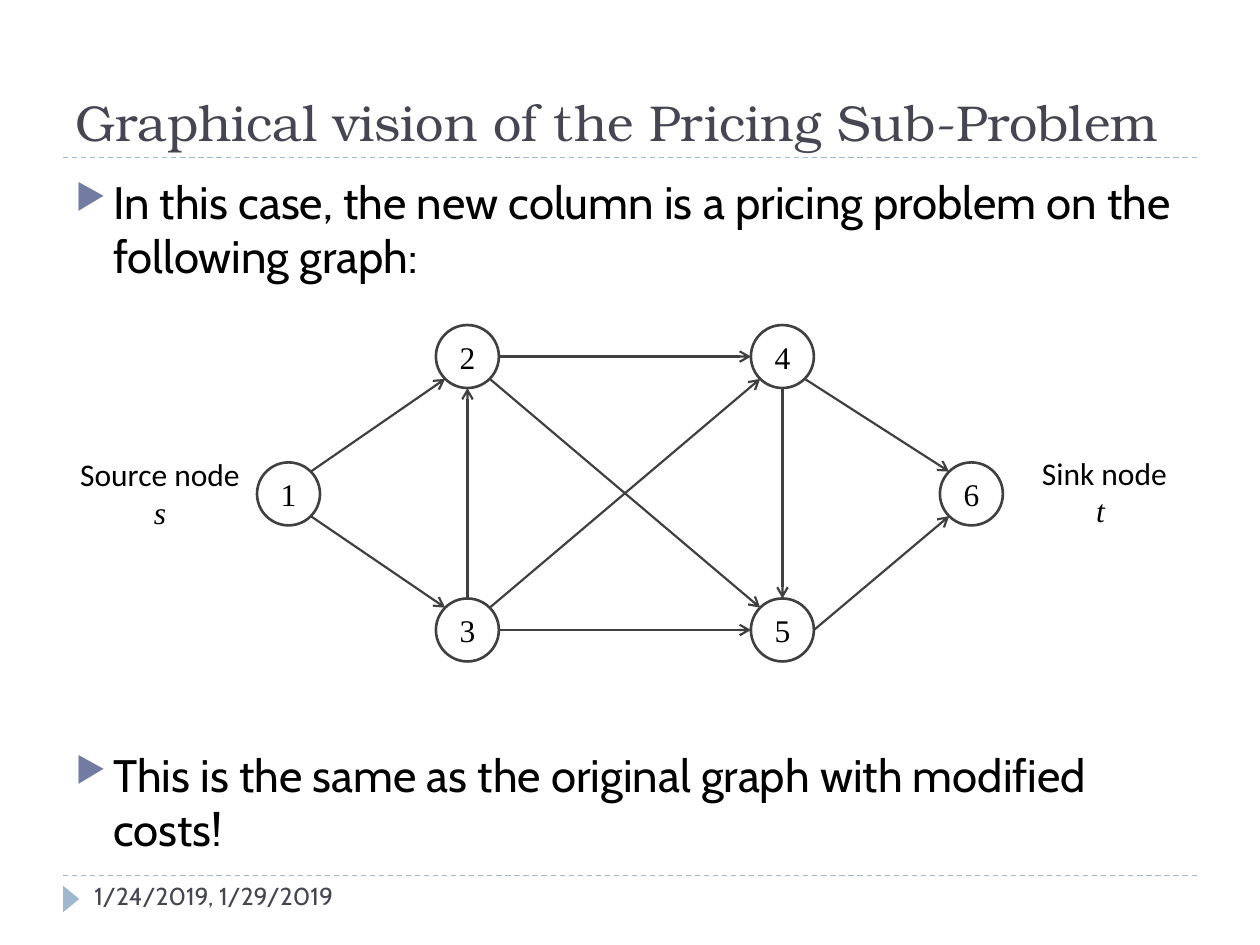
"""Builds a slide showing the pricing sub-problem as a directed graph."""
from math import cos, radians, sin

from lxml import etree
from pptx import Presentation
from pptx.dml.color import RGBColor
from pptx.enum.dml import MSO_LINE
from pptx.enum.shapes import MSO_CONNECTOR, MSO_SHAPE
from pptx.enum.text import MSO_ANCHOR, PP_ALIGN
from pptx.oxml.ns import qn
from pptx.util import Inches, Pt

STRAIGHT = MSO_CONNECTOR.STRAIGHT
OVAL, TRIANGLE = MSO_SHAPE.OVAL, MSO_SHAPE.ISOSCELES_TRIANGLE
TOP, MIDDLE, BOTTOM = MSO_ANCHOR.TOP, MSO_ANCHOR.MIDDLE, MSO_ANCHOR.BOTTOM
LEFT, CENTER = PP_ALIGN.LEFT, PP_ALIGN.CENTER
DASH = MSO_LINE.DASH

WIDTH, HEIGHT, MARGIN = 10, 7.5, 0.5
INK, BLACK, RULE, BULLET, GRAPH = "464653", "000000", "9FB8CD", "727CA3", "404040"
HEADING, BODY, LABEL, SYMBOL = "TeX Gyre Bonum", "Cabin", "Calibri", "Times New Roman"

TITLE = "Graphical vision of the Pricing Sub-Problem"
DATES = "1/24/2019, 1/29/2019"
POINTS = [
    "In this case, the new column is a pricing problem on the following graph:",
    "This is the same as the original graph with modified costs!",
]
GRAPH_GAP = 265
RULES = [1.25, 6.95]

COLUMNS = [2.29, 3.71, 6.21, 7.71]
ROWS = [2.83, 3.92, 5]
RADIUS = 0.25
NODES = {"1": (0, 1), "2": (1, 0), "3": (1, 2), "4": (2, 0), "5": (2, 2), "6": (3, 1)}
ANGLES = {"E": 0, "NE": 45, "N": 90, "NW": 135, "W": 180, "SW": 225, "S": 270, "SE": 315}
EDGES = [
    ("1", "NE", "2", "SW"), ("2", "E", "4", "W"), ("1", "SE", "3", "NW"),
    ("3", "E", "5", "W"), ("4", "SE", "6", "NW"), ("5", "E", "6", "SW"),
    ("3", "N", "2", "S"), ("3", "NE", "4", "SW"), ("2", "SE", "5", "NW"),
    ("4", "S", "5", "N"),
]
END_LABELS = [
    ((0.52, 3.56, 1.5, 0.71), [[("Source node ", LABEL), ("s", SYMBOL)]]),
    ((8.12, 3.55, 1.29, 0.71), [[("Sink node", LABEL)], [("t ", SYMBOL)]]),
]


def color(value):
    return RGBColor.from_string(value)


def add_run(paragraph, text, font, size, hex_color, italic=False):
    run = paragraph.add_run()
    run.text = text
    run.font.name, run.font.size, run.font.italic = font, Pt(size), italic
    run.font.color.rgb = color(hex_color)


def add_text(slide, box, paragraphs, size, hex_color, anchor=TOP, align=LEFT):
    shape = slide.shapes.add_textbox(*map(Inches, box))
    frame = shape.text_frame
    frame.word_wrap, frame.vertical_anchor = True, anchor
    for index, runs in enumerate(paragraphs):
        paragraph = frame.add_paragraph() if index else frame.paragraphs[0]
        paragraph.alignment = align
        for text, font in runs:
            add_run(paragraph, text, font, size, hex_color, font == SYMBOL)
    return frame


def add_bullet(paragraph):
    properties = paragraph._p.get_or_add_pPr()
    properties.set("marL", str(Inches(0.3)))
    properties.set("indent", str(Inches(-0.3)))
    bullet_color = etree.SubElement(properties, qn("a:buClr"))
    etree.SubElement(bullet_color, qn("a:srgbClr"), val=BULLET)
    etree.SubElement(properties, qn("a:buSzPct"), val="76000")
    etree.SubElement(properties, qn("a:buChar"), char="▶")


def add_line(slide, start, end, hex_color, width):
    connector = slide.shapes.add_connector(STRAIGHT, *map(Inches, (*start, *end)))
    connector.line.color.rgb, connector.line.width = color(hex_color), Pt(width)
    etree.SubElement(connector._element.spPr, qn("a:effectLst"))
    return connector


def add_node(slide, name):
    x, y = center(name)
    box = (x - RADIUS, y - RADIUS, 2 * RADIUS, 2 * RADIUS)
    node = slide.shapes.add_shape(OVAL, *map(Inches, box))
    node.shadow.inherit = False
    node.fill.background()
    node.line.color.rgb, node.line.width = color(GRAPH), Pt(1.5)
    node.text_frame.vertical_anchor = MIDDLE
    paragraph = node.text_frame.paragraphs[0]
    paragraph.alignment = CENTER
    add_run(paragraph, name, SYMBOL, 18, BLACK)


def center(name):
    column, row = NODES[name]
    return COLUMNS[column], ROWS[row]


def rim(name, side):
    x, y = center(name)
    angle = radians(ANGLES[side])
    return x + RADIUS * cos(angle), y - RADIUS * sin(angle)


def main():
    presentation = Presentation()
    presentation.slide_width, presentation.slide_height = Inches(WIDTH), Inches(HEIGHT)
    slide = presentation.slides.add_slide(presentation.slide_layouts[6])
    content_width = WIDTH - 2 * MARGIN

    for y in RULES:
        rule = add_line(slide, (MARGIN, y), (WIDTH - MARGIN, y), RULE, 0.75)
        rule.line.dash_style = DASH
    marker = slide.shapes.add_shape(TRIANGLE, *map(Inches, (0.46, 7.07, 0.21, 0.13)))
    marker.rotation = 90
    marker.shadow.inherit = False
    marker.fill.solid()
    marker.fill.fore_color.rgb = color(RULE)
    marker.line.fill.background()

    add_text(slide, (MARGIN, 0.17, content_width, 1.08), [[(TITLE, HEADING)]], 28.8, INK, BOTTOM)
    add_text(slide, (0.65, 6.94, 2.5, 0.4), [[(DATES, BODY)]], 14, INK)
    body = add_text(slide, (MARGIN, 1.33, content_width, 5.4),
                    [[(point, BODY)] for point in POINTS], 26, BLACK)
    for paragraph in body.paragraphs:
        add_bullet(paragraph)
    body.paragraphs[1].space_before = Pt(GRAPH_GAP)

    for name in NODES:
        add_node(slide, name)
    for source, source_side, target, target_side in EDGES:
        edge = add_line(slide, rim(source, source_side), rim(target, target_side), GRAPH, 1.25)
        etree.SubElement(edge.line._get_or_add_ln(), qn("a:tailEnd"), type="arrow")
    for box, paragraphs in END_LABELS:
        add_text(slide, box, paragraphs, 18, BLACK, align=CENTER)

    presentation.save("out.pptx")


if __name__ == "__main__":
    main()
